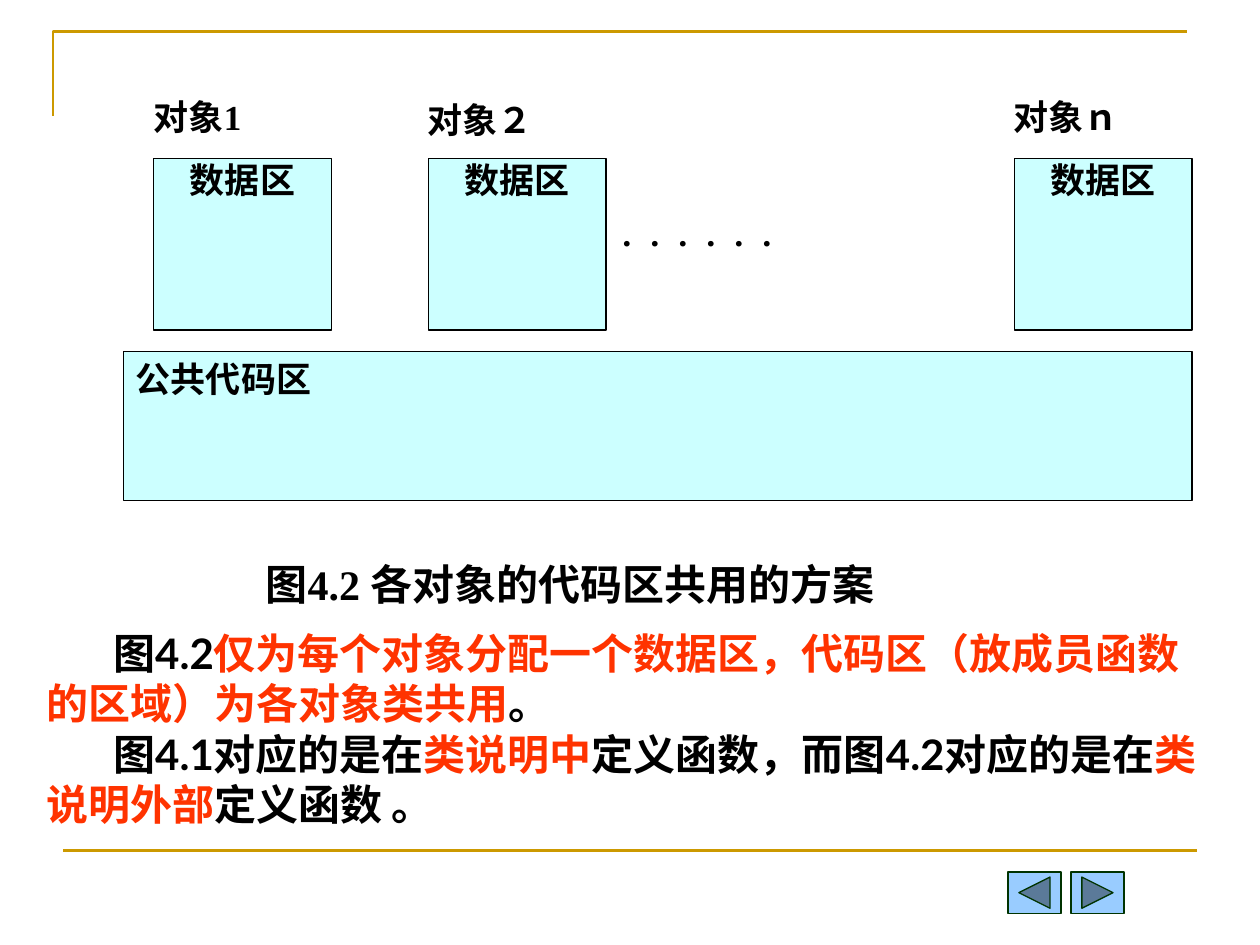
from pptx import Presentation, util as u
from pptx.dml.color import RGBColor
from pptx.enum import shapes, text
from pptx.oxml.ns import qn
from lxml import etree

# Content: (label, label position, data area left)
OBJECTS = [
    ("对象1", (1.22, 0.76), 1.22),
    ("对象２", (3.39, 0.78), 3.4),
    ("对象ｎ", (8.04, 0.76), 8.05),
]
DATA_AREA = "数据区"
ELLIPSIS = "．．．．．．"
SHARED_CODE = "公共代码区"
CAPTION = "图4.2 各对象的代码区共用的方案"
EXPLANATION = [
    [("图4.2", "ink"),
     ("仅为每个对象分配一个数据区，代码区（放成员函数的区域）为各对象类共用", "accent"),
     ("。", "ink")],
    [("图4.1对应的是在", "ink"), ("类说明中", "accent"),
     ("定义函数，而图4.2对应的是在", "ink"), ("类说明外部", "accent"),
     ("定义函数 。", "ink")],
]
NAVIGATION = [
    shapes.MSO_SHAPE.ACTION_BUTTON_BACK_OR_PREVIOUS,
    shapes.MSO_SHAPE.ACTION_BUTTON_FORWARD_OR_NEXT,
]

THEME = {
    "ink": "000000", "accent": "FF3300", "area": "CCFFFF", "rule": "CC9900",
    "button": "99CCFF", "button_line": "003300",
    "diagram_font": "Times New Roman", "body_font": "Lato",
    "label": 20, "dots": 16, "body": 24,
}
PADDED = (0.1, 0.05)
LEFT, CENTER, JUSTIFY = (text.PP_ALIGN.LEFT, text.PP_ALIGN.CENTER,
                         text.PP_ALIGN.JUSTIFY)


def color(name):
    return RGBColor.from_string(THEME[name])


def outline(part, name, width):
    part.line.color.rgb = color(name)
    part.line.width = u.Pt(width)


def write(part, paragraphs, size, font="diagram_font", align=JUSTIFY,
          padding=(0, 0), indent=0):
    frame = part.text_frame
    side, edge = (u.Inches(p) for p in padding)
    settings = {"word_wrap": True, "vertical_anchor": text.MSO_ANCHOR.TOP,
                "margin_left": side, "margin_right": side,
                "margin_top": edge, "margin_bottom": edge}
    for name, value in settings.items():
        setattr(frame, name, value)
    for i, runs in enumerate(paragraphs):
        paragraph = frame.add_paragraph() if i else frame.paragraphs[0]
        paragraph.alignment = align
        if indent:
            properties = paragraph._p.get_or_add_pPr()
            properties.set("marL", "0")
            properties.set("indent", str(u.Inches(indent)))
        for words, ink in runs:
            run = paragraph.add_run()
            run.text = words
            run.font.color.rgb = color(ink)
            style = {"size": u.Pt(THEME[size]), "bold": True,
                     "name": THEME[font]}
            for name, value in style.items():
                setattr(run.font, name, value)


def add_text(slide, box, paragraphs, size, **style):
    part = slide.shapes.add_textbox(*map(u.Inches, box))
    write(part, paragraphs, size, **style)


def add_filled(slide, preset, box, fill, line):
    part = slide.shapes.add_shape(preset, *map(u.Inches, box))
    part.shadow.inherit = False
    part.fill.solid()
    part.fill.fore_color.rgb = color(fill)
    outline(part, line, 0.75)
    return part


def add_area(slide, box, words, **style):
    area = add_filled(slide, shapes.MSO_SHAPE.RECTANGLE, box, "area", "ink")
    write(area, [[(words, "ink")]], "label", **style)


def add_frame(slide):
    corner = slide.shapes.build_freeform(u.Inches(0.42), u.Inches(0.92))
    corner.add_line_segments(
        [(u.Inches(x), u.Inches(y)) for x, y in [(0.42, 0.25), (9.42, 0.25)]],
        close=False)
    top_rule = corner.convert_to_shape()
    top_rule.shadow.inherit = False
    top_rule.fill.background()
    bottom_rule = slide.shapes.add_connector(
        shapes.MSO_CONNECTOR.STRAIGHT,
        *map(u.Inches, (0.5, 6.75, 9.5, 6.75)))
    etree.SubElement(bottom_rule._element.spPr, qn("a:effectLst"))
    for rule in (top_rule, bottom_rule):
        outline(rule, "rule", 1.5)


def main():
    deck = Presentation()
    deck.slide_width, deck.slide_height = u.Inches(10), u.Inches(7.5)
    slide = deck.slides.add_slide(deck.slide_layouts[6])
    add_frame(slide)

    # Objects, each with its own data area
    for label, position, left in OBJECTS:
        add_area(slide, (left, 1.26, 1.41, 1.36), DATA_AREA, align=CENTER)
        add_text(slide, (*position, 1.41, 0.34), [[(label, "ink")]], "label")
    add_text(slide, (4.92, 1.74, 3.06, 0.31), [[(ELLIPSIS, "ink")]], "dots")

    # Code area shared by all objects
    add_area(slide, (0.98, 2.79, 8.48, 1.18), SHARED_CODE, padding=PADDED)

    # Caption and explanation
    add_text(slide, (1.69, 4.38, 5.67, 0.39), [[(CAPTION, "ink")]], "body",
             align=CENTER, padding=PADDED)
    add_text(slide, (0.27, 4.93, 9.41, 1.7), EXPLANATION, "body",
             font="body_font", align=LEFT, padding=PADDED, indent=0.53)

    # Navigation buttons
    for i, preset in enumerate(NAVIGATION):
        add_filled(slide, preset, (8 + 0.5 * i, 6.92, 0.42, 0.33),
                   "button", "button_line")

    deck.save("out.pptx")


if __name__ == "__main__":
    main()
